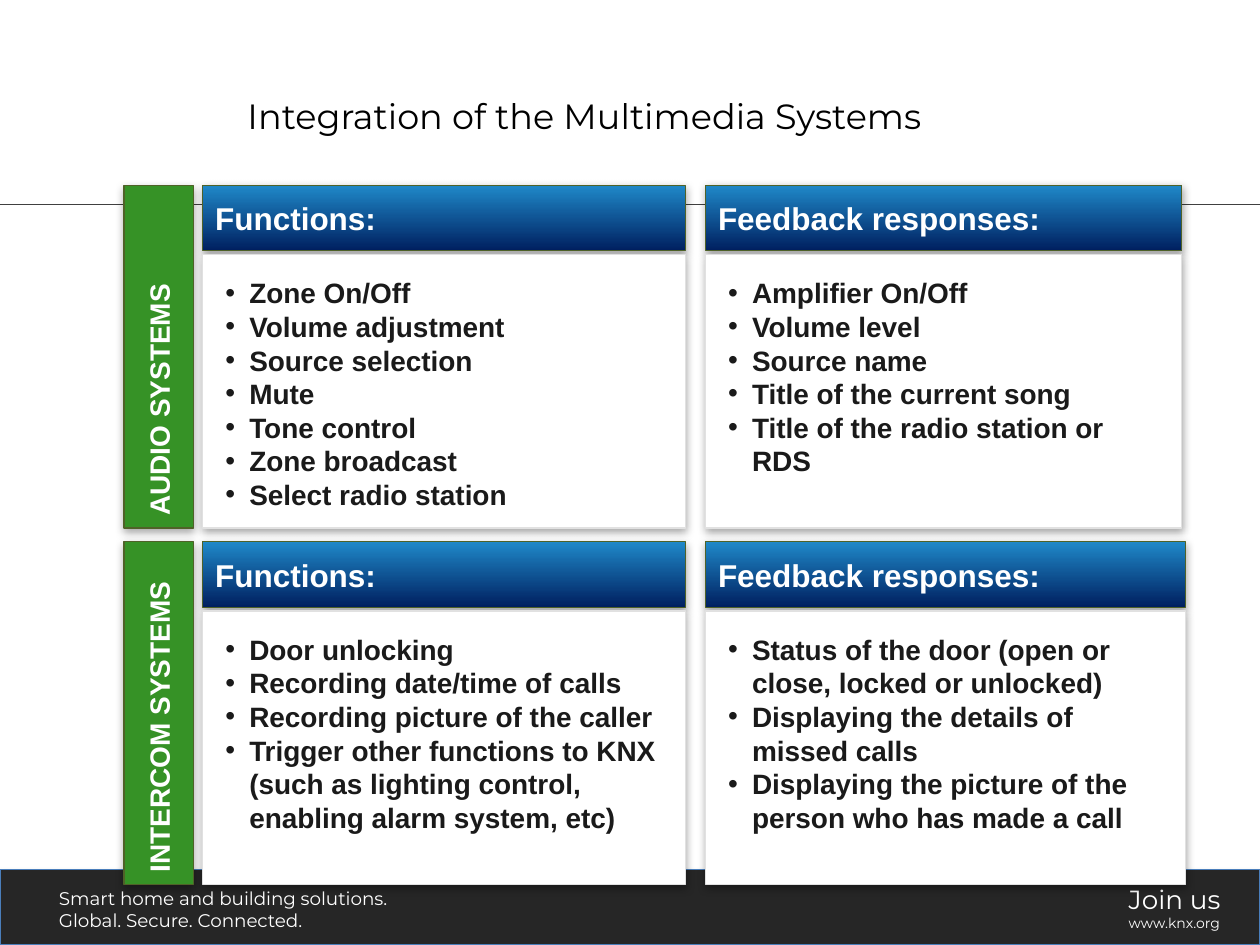
"""Build the slide on integrating audio and intercom systems."""
from lxml import etree
from pptx import Presentation
from pptx.dml.color import RGBColor
from pptx.enum.shapes import MSO_CONNECTOR, MSO_SHAPE
from pptx.enum.text import MSO_ANCHOR, PP_ALIGN
from pptx.oxml.ns import qn
from pptx.util import Inches, Pt

RECTANGLE, STRAIGHT = MSO_SHAPE.RECTANGLE, MSO_CONNECTOR.STRAIGHT
TOP, MIDDLE = MSO_ANCHOR.TOP, MSO_ANCHOR.MIDDLE
LEFT, CENTER = PP_ALIGN.LEFT, PP_ALIGN.CENTER
colour = RGBColor.from_string


def write(target, lines, sizes, font="Arial", ink="FFFFFF", bold=True,
          anchor=MIDDLE, align=LEFT, bullet=False, wrap=True):
    frame = target.text_frame
    frame.word_wrap, frame.vertical_anchor = wrap, anchor
    for index, line in enumerate(lines):
        paragraph = frame.paragraphs[0] if index == 0 else frame.add_paragraph()
        paragraph.alignment = align
        if bullet:
            properties = paragraph._p.get_or_add_pPr()
            properties.set("marL", str(Inches(0.19)))
            properties.set("indent", str(Inches(-0.19)))
            etree.SubElement(properties, qn("a:buFont"), typeface="Arial")
            etree.SubElement(properties, qn("a:buChar"), char="•")
        run = paragraph.add_run()
        run.text = line
        run.font.name, run.font.size, run.font.bold = font, Pt(sizes[index % len(sizes)]), bold
        run.font.color.rgb = colour(ink)


def block(box, fill, line, shade="000000", blur=5):
    shape = slide.shapes.add_shape(RECTANGLE, *map(Inches, box))
    if len(fill) == 2:
        shape.fill.gradient()
        shape.fill.gradient_angle = 90
        for stop, tone in zip(shape.fill.gradient_stops, fill):
            stop.color.rgb = colour(tone)
    else:
        shape.fill.solid()
        shape.fill.fore_color.rgb = colour(fill)
    shape.line.color.rgb, shape.line.width = colour(line), Pt(0.75)
    shape.shadow.inherit = False
    effects = shape._element.spPr.find(qn("a:effectLst"))
    shadow = etree.SubElement(effects, qn("a:outerShdw"), blurRad=str(Pt(blur)),
                              dist=str(Pt(1.8)), dir="5400000", rotWithShape="0")
    tone = etree.SubElement(shadow, qn("a:srgbClr"), val=shade)
    etree.SubElement(tone, qn("a:alpha"), val="35000")
    return shape


deck = Presentation()
deck.slide_width, deck.slide_height = Inches(10), Inches(7.5)
slide = deck.slides.add_slide(deck.slide_layouts[5])

block((0, 6.9, 10, 0.6), "262626", "4A7EBB", shade="808080", blur=3.1)
rule = slide.shapes.add_connector(STRAIGHT, 0, Inches(1.62), deck.slide_width, Inches(1.62))
rule.line.color.rgb, rule.line.width = colour("404040"), Pt(0.5)
etree.SubElement(rule._element.spPr, qn("a:effectLst"))

footers = [
    ((0.37, 6.99, 2.93, 0.45),
     ["Smart home and building solutions.", "Global. Secure. Connected."], [10.5]),
    ((8.86, 6.96, 0.94, 0.51), ["Join us", "www.knx.org"], [15, 8]),
]
for box, lines, sizes in footers:
    footer = slide.shapes.add_textbox(*map(Inches, box))
    write(footer, lines, sizes, font="Montserrat", bold=False, anchor=TOP, wrap=False)

title = slide.shapes.title
title.left, title.top, title.width, title.height = map(Inches, (0.98, 0.52, 7.32, 0.79))
write(title, ["Integration of the Multimedia Systems"], [20], font="Montserrat",
      ink="000000", bold=False, align=CENTER)

FUNCTIONS_LEFT, FEEDBACK_LEFT = 1.61, 5.6
TAB_LENGTH, TAB_WIDTH, TAB_CENTRE = 2.72, 0.55, 1.26
HEADER_HEIGHT, BODY_OFFSET, BODY_HEIGHT = 0.52, 0.55, 2.17
LIST_INSET, LIST_OFFSET = 0.08, 0.67

systems = [
    ("AUDIO SYSTEMS", 1.47, [
        ("Functions:", FUNCTIONS_LEFT, 3.83, 1.99,
         ["Zone On/Off", "Volume adjustment", "Source selection", "Mute",
          "Tone control", "Zone broadcast", "Select radio station"]),
        ("Feedback responses:", FEEDBACK_LEFT, 3.78, 1.72,
         ["Amplifier On/Off", "Volume level", "Source name",
          "Title of the current song", "Title of the radio station or RDS"])]),
    ("INTERCOM SYSTEMS", 4.3, [
        ("Functions:", FUNCTIONS_LEFT, 3.83, 1.72,
         ["Door unlocking", "Recording date/time of calls",
          "Recording picture of the caller",
          "Trigger other functions to KNX (such as lighting control, "
          "enabling alarm system, etc)"]),
        ("Feedback responses:", FEEDBACK_LEFT, 3.81, 1.72,
         ["Status of the door (open or close, locked or unlocked)",
          "Displaying the details of missed calls",
          "Displaying the picture of the person who has made a call"])]),
]
for system, top, panels in systems:
    for heading, left, width, list_height, items in panels:
        header = block((left, top, width, HEADER_HEIGHT), ("002060", "1F88C8"), "4F6228")
        write(header, [heading], [18])
        block((left, top + BODY_OFFSET, width, BODY_HEIGHT), "FFFFFF", "E1E1E1")
        item_list = slide.shapes.add_textbox(*map(Inches, (
            left + LIST_INSET, top + LIST_OFFSET, width - 2 * LIST_INSET, list_height)))
        write(item_list, items, [16], ink="1A1A1A", anchor=TOP, bullet=True)
    tab = block((TAB_CENTRE - TAB_LENGTH / 2, top + (TAB_LENGTH - TAB_WIDTH) / 2,
                 TAB_LENGTH, TAB_WIDTH), "369226", "4F6228")
    tab.rotation = 270
    write(tab, [system], [16])

deck.save("out.pptx")
